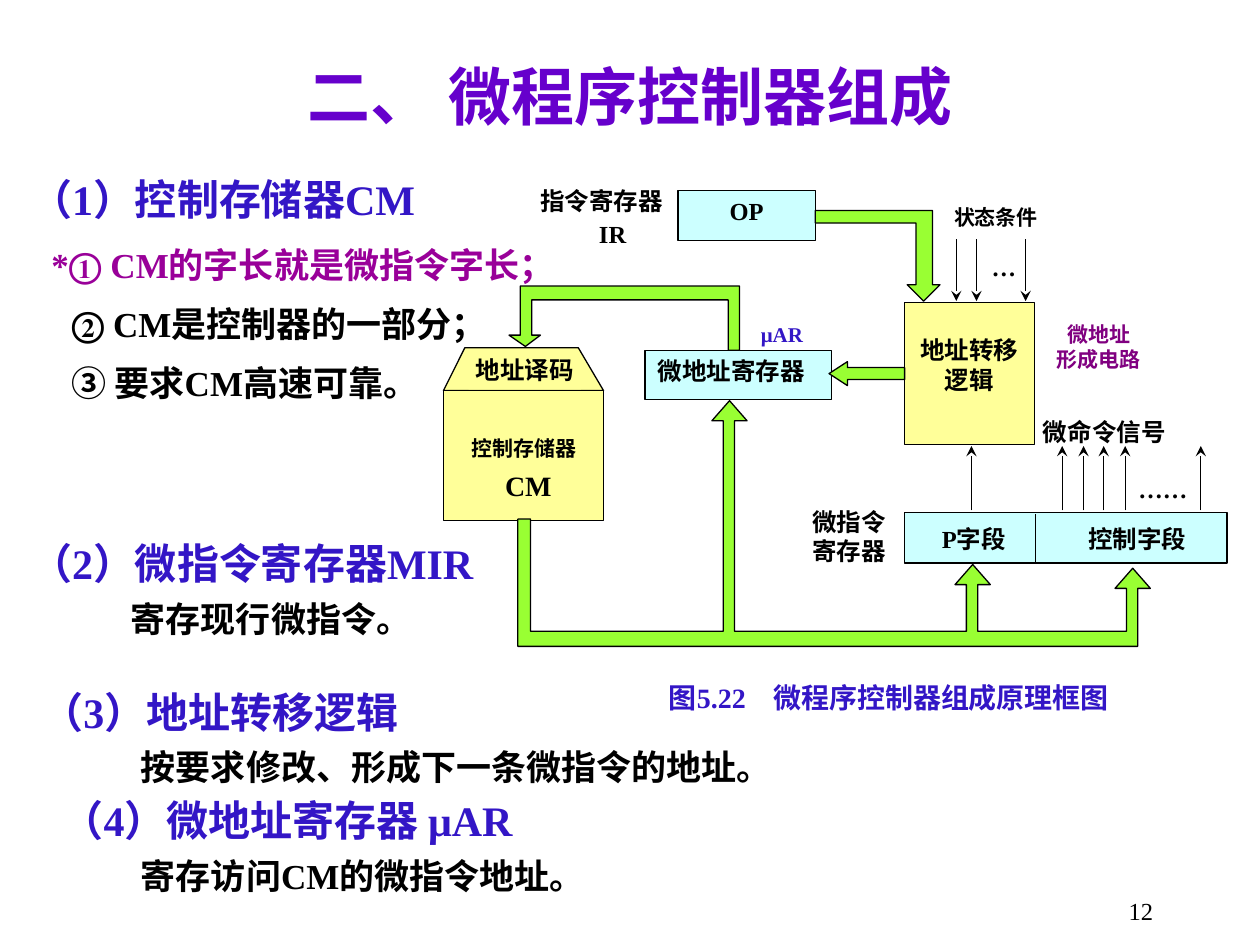
from dataclasses import dataclass

from lxml import etree
from pptx import Presentation
from pptx.dml.color import RGBColor
from pptx.enum.shapes import MSO_CONNECTOR, MSO_SHAPE
from pptx.enum.text import MSO_ANCHOR, PP_ALIGN
from pptx.oxml.ns import qn
from pptx.util import Inches, Pt

LEFT, CENTER, RIGHT = PP_ALIGN.LEFT, PP_ALIGN.CENTER, PP_ALIGN.RIGHT
TOP, MIDDLE = MSO_ANCHOR.TOP, MSO_ANCHOR.MIDDLE
RECTANGLE, LEFT_ARROW = MSO_SHAPE.RECTANGLE, MSO_SHAPE.LEFT_ARROW
STRAIGHT = MSO_CONNECTOR.STRAIGHT
INSETS, NO_INSETS = (0.1, 0.05, 0.1, 0.05), (0, 0, 0, 0)


@dataclass(frozen=True)
class Theme:
    font: str = "Times New Roman"
    label_font: str = "Arial"
    black: str = "000000"
    title: str = "6600CC"
    heading: str = "3316C6"
    accent: str = "990099"
    circuit: str = "800080"
    register: str = "CCFFFF"
    memory: str = "FFFF99"
    bus: str = "99FF33"
    title_size: int = 36
    heading_size: int = 24
    body_size: int = 20
    caption_size: int = 16
    label_size: int = 14
    small_size: int = 12
    line_width: float = 0.75


THEME = Theme()


@dataclass(frozen=True)
class Box:
    left: float
    top: float
    width: float
    height: float

    def inner(self, left, top, width, height):
        return Box(self.left + left, self.top + top, width, height)

    def point(self, x, y):
        return Inches(self.left + x), Inches(self.top + y)

    def lengths(self):
        return [Inches(value) for value in (self.left, self.top, self.width, self.height)]


def write(shape, text, size=THEME.label_size, color=THEME.black, align=CENTER,
          insets=NO_INSETS, wrap=True, bold=True, font=THEME.font, anchor=TOP):
    frame = shape.text_frame
    frame.text = text
    frame.word_wrap = wrap
    frame.vertical_anchor = anchor
    frame.margin_left, frame.margin_top, frame.margin_right, frame.margin_bottom = map(Inches, insets)
    for paragraph in frame.paragraphs:
        paragraph.alignment = align
        for run in paragraph.runs:
            run.font.name = font
            run.font.size = Pt(size)
            run.font.bold = bold
            run.font.color.rgb = RGBColor.from_string(color)


def add_text(slide, box, text, **style):
    write(slide.shapes.add_textbox(*box.lengths()), text, **style)


def paint(shape, fill, outlined=True):
    shape.shadow.inherit = False
    shape.fill.solid()
    shape.fill.fore_color.rgb = RGBColor.from_string(fill)
    if outlined:
        shape.line.color.rgb = RGBColor.from_string(THEME.black)
        shape.line.width = Pt(THEME.line_width)
    else:
        shape.line.fill.background()


def add_block(slide, box, fill, text="", outlined=True, kind=RECTANGLE, **style):
    shape = slide.shapes.add_shape(kind, *box.lengths())
    paint(shape, fill, outlined)
    if text:
        write(shape, text, **style)
    return shape


def add_outline(slide, box, points, fill):
    start, *rest = [box.point(x, y) for x, y in points]
    builder = slide.shapes.build_freeform(*start)
    builder.add_line_segments(rest, close=True)
    paint(builder.convert_to_shape(), fill)


def add_line(slide, box, start, end, arrow=True):
    line = slide.shapes.add_connector(STRAIGHT, *box.point(*start), *box.point(*end))
    line.line.color.rgb = RGBColor.from_string(THEME.black)
    line.line.width = Pt(THEME.line_width)
    if arrow:
        etree.SubElement(line.line._get_or_add_ln(), qn("a:tailEnd"), type="stealth")
    etree.SubElement(line._element.spPr, qn("a:effectLst"))


def add_control_memory(slide, box):
    """Decoder on top of the control memory."""
    add_outline(slide, box, [(0.17, 0), (1.07, 0), (1.27, 0.34), (0, 0.34)], THEME.memory)
    add_block(slide, box.inner(0, 0.34, 1.27, 1.03), THEME.memory)
    add_block(slide, box.inner(0.2, 0.06, 0.89, 0.27), THEME.memory, "地址译码", outlined=False)
    add_block(slide, box.inner(0.22, 0.7, 0.9, 0.32), THEME.memory, "控制存储器",
              outlined=False, size=THEME.small_size, align=LEFT)
    add_text(slide, box.inner(0.39, 0.91, 0.58, 0.37), "CM", size=THEME.caption_size,
             align=LEFT, insets=INSETS, wrap=False)


def add_address_logic(slide, box):
    """Address transfer logic with its status inputs."""
    add_block(slide, box.inner(0, 0.78, 1.03, 1.13), THEME.memory, "地址转移\n逻辑",
              insets=(0.1, 0.26, 0.1, 0.05))
    add_text(slide, box.inner(0.32, 0, 0.81, 0.25), "状态条件", size=THEME.small_size)
    for x in (0.41, 0.57, 0.96):
        add_line(slide, box, (x, 0.28), (x, 0.77))
    add_text(slide, box.inner(0.69, 0.38, 0.23, 0.28), "…", align=LEFT)
    add_text(slide, box.inner(1.1, 0.88, 0.88, 0.5), "微地址\n形成电路", size=THEME.small_size,
             color=THEME.circuit, font=THEME.label_font, insets=INSETS, wrap=False)


def add_instruction_register(slide, box):
    """Microinstruction register with its output signals."""
    add_block(slide, box.inner(0.8, 0.76, 2.56, 0.4), THEME.register)
    add_line(slide, box, (1.84, 0.77), (1.84, 1.16), arrow=False)
    for x in (1.33, 2.05, 2.22, 2.38, 2.55, 3.15):
        add_line(slide, box, (x, 0.74), (x, 0.23))
    for area, text in (
        ((0.92, 0.85, 0.86, 0.28), "P字段"),
        ((2.1, 0.85, 1.09, 0.28), "控制字段"),
        ((2.53, 0.45, 0.64, 0.28), "……"),
        ((1.84, 0, 1.09, 0.27), "微命令信号"),
    ):
        add_text(slide, box.inner(*area), text)
    add_text(slide, box.inner(0, 0.71, 0.65, 0.55), "微指令\n寄存器", align=RIGHT)


def add_buses(slide, box):
    """Block arrows between the parts."""
    add_block(slide, box.inner(3.08, 1.37, 0.6, 0.19), THEME.bus, kind=LEFT_ARROW).adjustments[1] = 0.77
    add_outline(slide, box, [(3.83, 0.89), (3.7, 0.76), (3.77, 0.76), (3.77, 0.27), (2.97, 0.27),
                             (2.97, 0.17), (3.9, 0.17), (3.9, 0.76), (3.96, 0.76)], THEME.bus)
    add_outline(slide, box, [(2.28, 1.28), (2.28, 0.88), (0.72, 0.88), (0.72, 1.16), (0.79, 1.16),
                             (0.67, 1.25), (0.54, 1.16), (0.63, 1.16), (0.63, 0.77), (2.37, 0.77),
                             (2.37, 1.28)], THEME.bus)
    # Shared bus: one upward branch per target, given by its centre and tip
    points = [(0.61, 2.62), (0.71, 2.62), (0.71, 3.51)]
    for center, tip in ((2.29, 1.68), (4.22, 2.98), (5.49, 3.01)):
        neck = tip + 0.16
        points += [(center - 0.05, 3.51), (center - 0.05, neck), (center - 0.14, neck), (center, tip),
                   (center + 0.14, neck), (center + 0.04, neck), (center + 0.04, 3.51)]
    points[-1] = (5.53, 3.63)
    add_outline(slide, box, points + [(0.61, 3.63)], THEME.bus)


def add_diagram(slide, box):
    """Block diagram of the controller."""
    # Instruction register and microaddress register
    add_block(slide, box.inner(1.88, 0.01, 1.09, 0.4), THEME.register, "OP", insets=INSETS)
    add_text(slide, box.inner(0.73, -0.02, 1.09, 0.28), "指令寄存器")
    add_text(slide, box.inner(1.08, 0.24, 0.39, 0.3), "IR", align=RIGHT)
    add_block(slide, box.inner(1.62, 1.28, 1.48, 0.39), THEME.register, "微地址寄存器",
              align=LEFT, insets=INSETS)
    add_text(slide, box.inner(2.44, 1, 0.54, 0.3), "μAR", size=THEME.small_size,
             color=THEME.heading, align=LEFT, insets=INSETS, wrap=False)
    # Larger units, then the buses over them
    add_control_memory(slide, box.inner(0.02, 1.26, 1.27, 1.37))
    add_address_logic(slide, box.inner(3.68, 0.12, 1.98, 1.91))
    add_instruction_register(slide, box.inner(2.88, 1.81, 3.36, 1.26))
    add_buses(slide, box)
    add_text(slide, box.inner(1.59, 3.9, 3.93, 0.41), "图5.22　微程序控制器组成原理框图",
             size=THEME.caption_size, color=THEME.heading)


def add_outline_text(slide, box):
    """Numbered headings with their explanations."""
    heading = (THEME.heading_size, THEME.heading)
    body = (THEME.body_size, THEME.black)
    for left, top, width, text, (size, color) in (
        (0.14, 0, 5, "（1）控制存储器CM", heading),
        (0.31, 0.55, 4.35, "*① CM的字长就是微指令字长；", (THEME.body_size, THEME.accent)),
        (0.47, 1.02, 3.63, "② CM是控制器的一部分；", body),
        (0.47, 1.49, 3.2, "③ 要求CM高速可靠。", body),
        (0.14, 2.89, 7.54, "（2）微指令寄存器MIR", heading),
        (0.94, 3.36, 9.06, "寄存现行微指令。", body),
        (0.23, 4.07, 9.77, "（3）地址转移逻辑", heading),
        (1.02, 4.54, 5.4, "按要求修改、形成下一条微指令的地址。", body),
        (0.39, 4.93, 6.33, "（4）微地址寄存器 μAR", heading),
        (1.02, 5.4, 5.86, "寄存访问CM的微指令地址。", body),
    ):
        add_text(slide, box.inner(left, top, width, 0.77), text, size=size, color=color,
                 align=LEFT, insets=INSETS)


def main():
    presentation = Presentation()
    presentation.slide_width, presentation.slide_height = Inches(10), Inches(7.5)
    slide = presentation.slides.add_slide(presentation.slide_layouts[6])
    add_diagram(slide, Box(3.5, 1.5, 6.25, 4.3))
    add_outline_text(slide, Box(0, 1.33, 10, 6.17))
    # Title and page number
    add_text(slide, Box(0.75, 0.36, 8.5, 0.8), "二、 微程序控制器组成", size=THEME.title_size,
             color=THEME.title, insets=INSETS, anchor=MIDDLE)
    add_text(slide, Box(7.17, 7.06, 2.08, 0.28), "12", align=RIGHT, insets=INSETS, bold=False)
    presentation.save("out.pptx")


if __name__ == "__main__":
    main()
